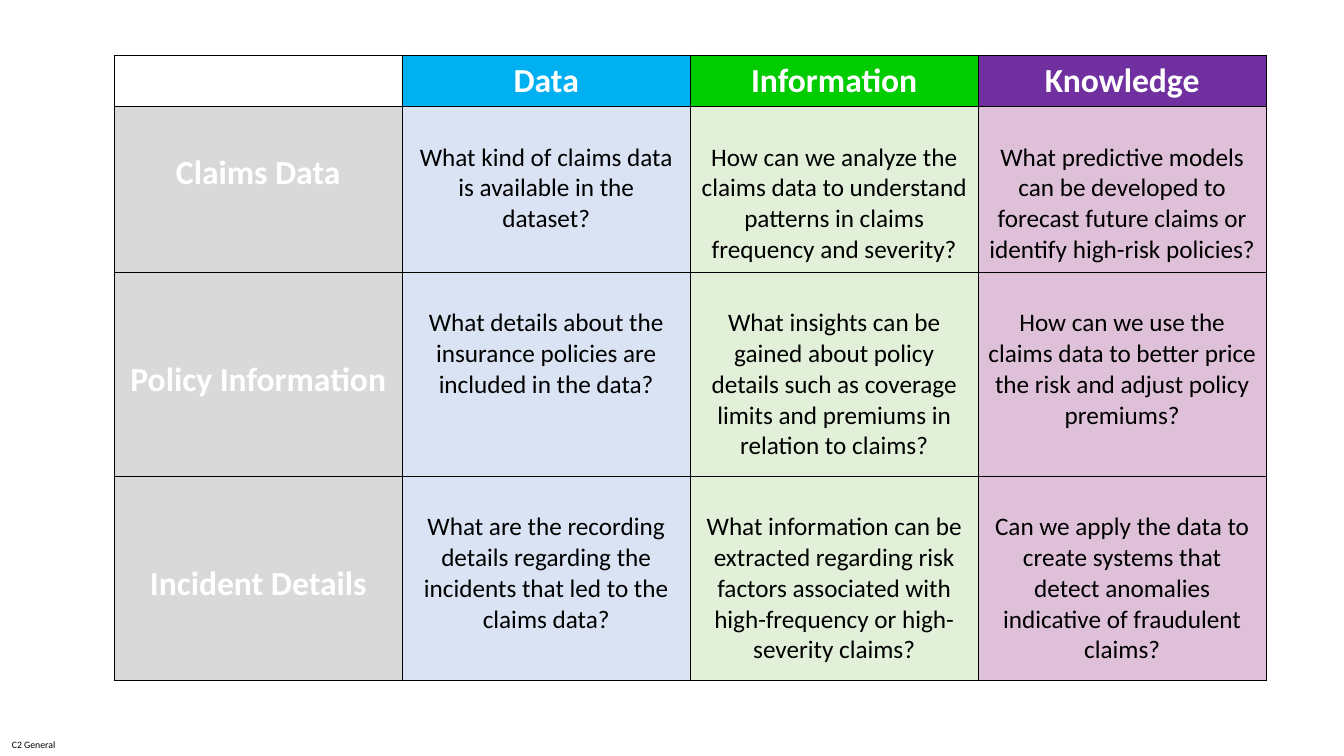
from lxml import etree
from pptx import Presentation
from pptx.dml.color import RGBColor
from pptx.enum.text import MSO_ANCHOR, PP_ALIGN
from pptx.oxml.ns import qn
from pptx.util import Cm, Pt

FONT = "Calibri"
BLACK = RGBColor(0x00, 0x00, 0x00)
WHITE = RGBColor(0xFF, 0xFF, 0xFF)
LABEL_FILL = RGBColor(0xD9, 0xD9, 0xD9)
HEADER_FILLS = [
    RGBColor(0x00, 0xB0, 0xF0),
    RGBColor(0x00, 0xCC, 0x00),
    RGBColor(0x70, 0x30, 0xA0),
]
BODY_FILLS = [
    RGBColor(0xDA, 0xE3, 0xF3),
    RGBColor(0xE2, 0xF0, 0xD9),
    RGBColor(0xDE, 0xC0, 0xD8),
]

HEADERS = ["Data", "Information", "Knowledge"]
HEADER_HEIGHT = Cm(1.29)
HEADER_TOP = Cm(0.13)
QUESTION_TOP = Cm(0.9)

# Label, row height, space above the label, questions
TOPICS = [
    ("Claims Data", Cm(4.18), Cm(1.16), [
        "What kind of claims data is available in the dataset?",
        "How can we analyze the claims data to understand patterns in claims "
        "frequency and severity?",
        "What predictive models can be developed to forecast future claims or "
        "identify high-risk policies?",
    ]),
    ("Policy Information", Cm(5.14), Cm(2.19), [
        "What details about the insurance policies are included in the data?",
        "What insights can be gained about policy details such as coverage "
        "limits and premiums in relation to claims?",
        "How can we use the claims data to better price the risk and adjust "
        "policy premiums?",
    ]),
    ("Incident Details", Cm(5.14), Cm(2.19), [
        "What are the recording details regarding the incidents that led to "
        "the claims data?",
        "What information can be extracted regarding risk factors associated "
        "with high-frequency or high-severity claims?",
        "Can we apply the data to create systems that detect anomalies "
        "indicative of fraudulent claims?",
    ]),
]


def style_text(p, size, color, bold=False):
    for r in p.runs:
        r.font.name = FONT
        r.font.size = Pt(size)
        r.font.bold = bold
        r.font.color.rgb = color


def add_borders(cell):
    """Draw a thin black line on all four sides of the cell."""
    props = cell._tc.get_or_add_tcPr()
    for i, side in enumerate(("a:lnL", "a:lnR", "a:lnT", "a:lnB")):
        line = etree.Element(qn(side), w=str(Pt(1)))
        fill = etree.SubElement(line, qn("a:solidFill"))
        etree.SubElement(fill, qn("a:srgbClr"), val=str(BLACK))
        props.insert(i, line)


def fill_cell(cell, text, fill, top, size, color, bold):
    cell.fill.solid()
    cell.fill.fore_color.rgb = fill
    cell.margin_top = top
    cell.text_frame.text = text
    p = cell.text_frame.paragraphs[0]
    p.alignment = PP_ALIGN.CENTER
    style_text(p, size, color, bold)


def add_question_table(s, left, top, width):
    height = HEADER_HEIGHT + sum(topic[1] for topic in TOPICS)
    table = s.shapes.add_table(
        len(TOPICS) + 1, len(HEADERS) + 1, left, top, width, height).table
    table.first_row = table.horz_banding = False
    for column in table.columns:
        column.width = width // len(table.columns)

    table.rows[0].height = HEADER_HEIGHT
    table.cell(0, 0).fill.background()
    for col, (header, fill) in enumerate(zip(HEADERS, HEADER_FILLS), 1):
        fill_cell(table.cell(0, col), header, fill, HEADER_TOP, 24, WHITE, True)

    for row, (label, row_height, label_top, questions) in enumerate(TOPICS, 1):
        table.rows[row].height = row_height
        fill_cell(table.cell(row, 0), label, LABEL_FILL, label_top,
                  24, WHITE, True)
        for col, (question, fill) in enumerate(zip(questions, BODY_FILLS), 1):
            fill_cell(table.cell(row, col), question, fill, QUESTION_TOP,
                      18, BLACK, False)

    for cell in table.iter_cells():
        add_borders(cell)


def add_classification(s, left, top, width, height):
    tf = s.shapes.add_textbox(left, top, width, height).text_frame
    tf.word_wrap = True
    tf.vertical_anchor = MSO_ANCHOR.MIDDLE
    tf.margin_left = Cm(0.3)
    tf.margin_right = tf.margin_top = tf.margin_bottom = 0
    tf.text = "C2 General"
    style_text(tf.paragraphs[0], 7, BLACK)


def main():
    prs = Presentation()
    prs.slide_width, prs.slide_height = Cm(33.87), Cm(19.05)
    s = prs.slides.add_slide(prs.slide_layouts[6])
    add_classification(s, 0, Cm(18.46), Cm(1.73), Cm(0.59))
    add_question_table(s, Cm(2.88), Cm(1.39), Cm(29.03))
    prs.save("out.pptx")


if __name__ == "__main__":
    main()
